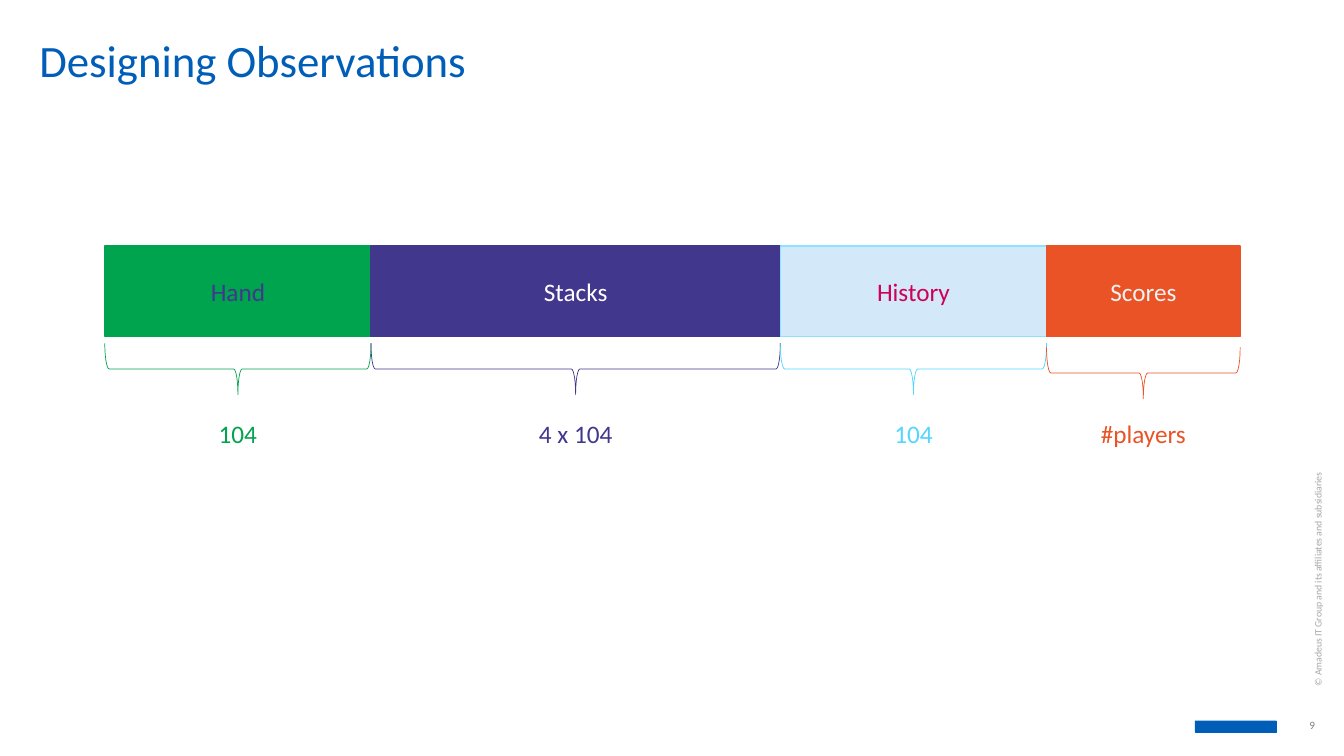
from pptx import Presentation
from pptx.dml.color import RGBColor
from pptx.enum.shapes import MSO_SHAPE as Shape
from pptx.enum.text import MSO_ANCHOR as Anchor, PP_ALIGN as Align
from pptx.util import Inches, Pt

BLUE = RGBColor(0x00, 0x5E, 0xB8)
GREEN = RGBColor(0x00, 0xA3, 0x4E)
PURPLE = RGBColor(0x41, 0x38, 0x8D)
PALE = RGBColor(0xD3, 0xE8, 0xF8)
SKY = RGBColor(0x8D, 0xE3, 0xFF)
CYAN = RGBColor(0x53, 0xD5, 0xFF)
PINK = RGBColor(0xCE, 0x00, 0x58)
ORANGE = RGBColor(0xE9, 0x53, 0x26)
WHITE = RGBColor(0xFF, 0xFF, 0xFF)
OFF_WHITE = RGBColor(0xF2, 0xF2, 0xF2)
GRAY = RGBColor(0x80, 0x80, 0x80)
SILVER = RGBColor(0xA6, 0xA6, 0xA6)

TITLE = "Designing Observations"
NOTICE = "© Amadeus IT Group and its affiliates and subsidiaries"
PAGE = "9"
# name, size, width, fill, edge, name colour, brace colour, brace drop
PARTS = [
    ("Hand", "104", 2.64, GREEN, GREEN, PURPLE, GREEN, 0),
    ("Stacks", "4 x 104", 4.06, PURPLE, PURPLE, WHITE, PURPLE, 0),
    ("History", "104", 2.64, PALE, SKY, PINK, CYAN, 0),
    ("Scores", "#players", 1.92, ORANGE, ORANGE, OFF_WHITE, ORANGE, 0.04),
]
LEFT, TOP, HEIGHT = 1.04, 2.44, 0.9
BRACE_MID, BRACE_DEPTH = 3.66, 0.51
SIZE_TOP, SIZE_WIDTH, SIZE_HEIGHT = 4.1, 1.2, 0.4


def write(frame, text, size, color, align=Align.CENTER):
    frame.text = text
    para = frame.paragraphs[0]
    para.alignment = align
    para.font.name = "Calibri"
    para.font.size = Pt(size)
    para.font.color.rgb = color


def add_text(slide, box, text, size, color, align=Align.CENTER):
    label = slide.shapes.add_textbox(*map(Inches, box))
    frame = label.text_frame
    frame.word_wrap = True
    frame.vertical_anchor = Anchor.MIDDLE
    write(frame, text, size, color, align)
    return label


def add_shape(slide, kind, box, fill, edge, weight):
    shape = slide.shapes.add_shape(kind, *map(Inches, box))
    shape.shadow.inherit = False
    if fill is None:
        shape.fill.background()
    else:
        shape.fill.solid()
        shape.fill.fore_color.rgb = fill
    shape.line.color.rgb = edge
    shape.line.width = Pt(weight)
    return shape


def add_title(slide):
    title = slide.shapes.title
    title.left, title.top = Inches(0.29), Inches(0.32)
    title.width, title.height = Inches(12.31), Inches(0.53)
    frame = title.text_frame
    frame.margin_top = 0
    frame.vertical_anchor = Anchor.TOP
    write(frame, TITLE, 32, BLUE, Align.LEFT)


def add_parts(slide):
    left = LEFT
    for name, size, width, fill, edge, ink, tint, drop in PARTS:
        mid = left + width / 2
        bar = add_shape(slide, Shape.RECTANGLE, (left, TOP, width, HEIGHT),
                        fill, edge, 1)
        write(bar.text_frame, name, 18, ink)
        # The brace is laid out upright, then turned about its centre.
        box = (mid - BRACE_DEPTH / 2, BRACE_MID + drop - width / 2,
               BRACE_DEPTH, width)
        brace = add_shape(slide, Shape.LEFT_BRACE, box, None, tint, 0.5)
        brace.rotation = 270
        add_text(slide, (mid - SIZE_WIDTH / 2, SIZE_TOP, SIZE_WIDTH,
                         SIZE_HEIGHT), size, 18, tint)
        left += width


def add_footer(slide):
    add_shape(slide, Shape.RECTANGLE, (11.85, 7.15, 0.81, 0.11), BLUE, BLUE, 0.25)
    page = add_text(slide, (12.88, 7.13, 0.27, 0.13), PAGE, 8, GRAY)
    frame = page.text_frame
    frame.margin_left = frame.margin_right = 0
    frame.margin_top = frame.margin_bottom = 0
    notice = add_text(slide, (11.38, 5.09, 3.38, 0.25), NOTICE, 7, SILVER,
                      Align.LEFT)
    notice.rotation = 270


def main():
    deck = Presentation()
    deck.slide_width, deck.slide_height = Inches(13.33), Inches(7.5)
    slide = deck.slides.add_slide(deck.slide_layouts[5])
    add_title(slide)
    add_parts(slide)
    add_footer(slide)
    deck.save("out.pptx")


if __name__ == "__main__":
    main()
